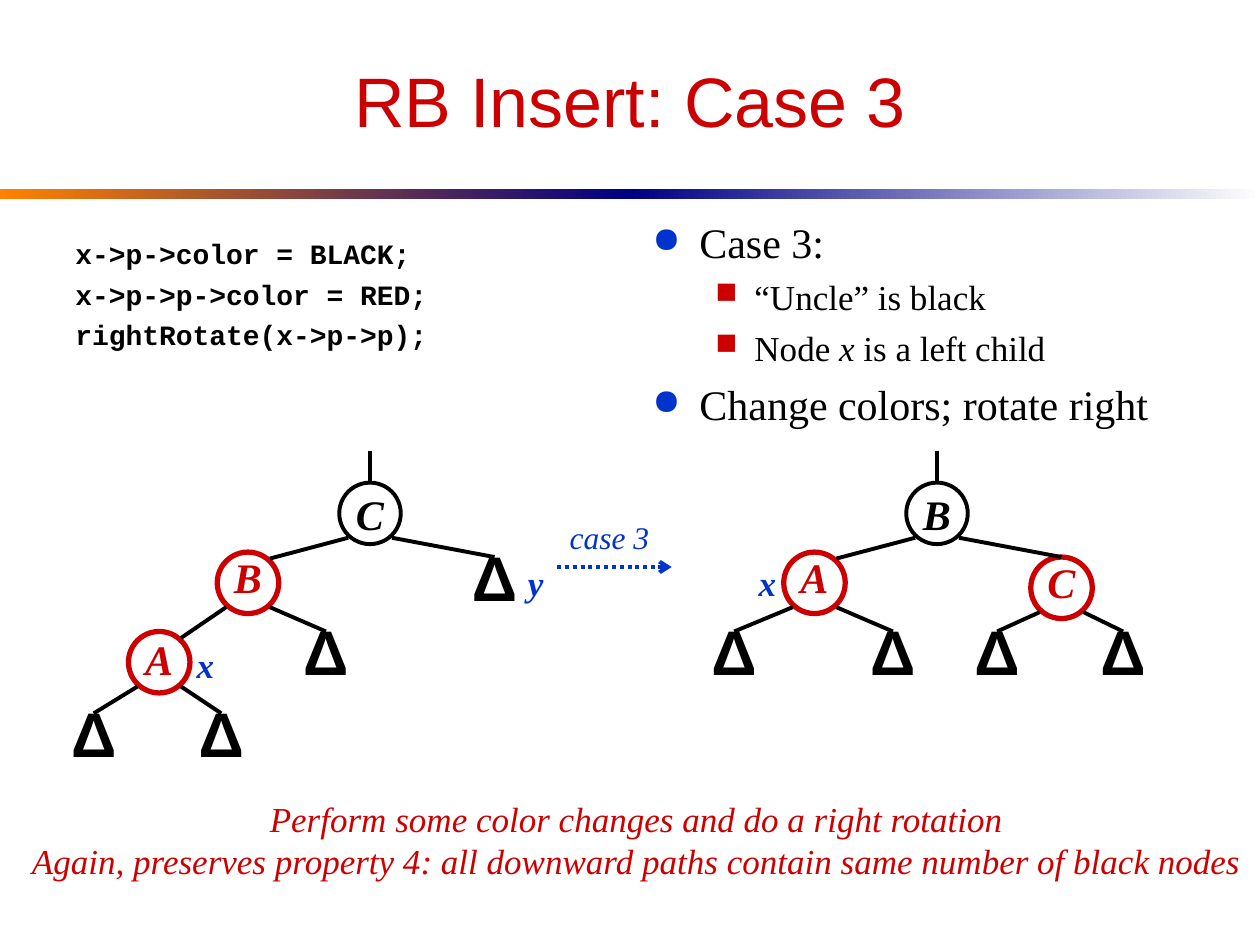
"""Build the slide on case 3 of red-black tree insertion."""
from lxml.etree import SubElement
from pptx import Presentation
from pptx.dml.color import RGBColor
from pptx.enum.dml import MSO_LINE_DASH_STYLE as Dash
from pptx.enum.shapes import MSO_CONNECTOR as Connector, MSO_SHAPE as Shape
from pptx.enum.text import MSO_ANCHOR as Anchor, PP_ALIGN as Align
from pptx.oxml.ns import qn
from pptx.util import Cm, Pt

COLORS = {"black": "000000", "red": "CC0000", "blue": "0033CC",
          "white": "FFFFFF", "navy": "000082", "orange": "FF8200"}
SERIF, SANS, MONO = "Times New Roman", "Arial", "Courier New"

TITLE = "RB Insert: Case 3"
CODE = ["x->p->color = BLACK;", "x->p->p->color = RED;", "rightRotate(x->p->p);"]
POINTS = [
    (0, [("Case 3:", False)]),
    (1, [("“Uncle” is black", False)]),
    (1, [("Node ", False), ("x", True), (" is a left child", False)]),
    (0, [("Change colors; rotate right", False)]),
]
LEVELS = [
    {"bullet": "●", "color": "blue", "size": 24, "before": 6, "margin": 0.95, "hang": 0.95},
    {"bullet": "■", "color": "red", "size": 20, "before": 5, "margin": 2.06, "hang": 0.79},
]
SUMMARY = [
    "Perform some color changes and do a right rotation",
    "Again, preserves property 4: all downward paths contain same number of black nodes",
]

# label, colour, centre x, top, line spacing, children
LEAF = "Δ"
TREES = [
    ("C", "black", 7.46, 9.73, 1, [
        ("B", "red", 5, 11.13, 0.7, [
            ("A", "red", 3.21, 12.73, 0.9, [
                (LEAF, "black", 1.89, 14.38, 0.6, []),
                (LEAF, "black", 4.46, 14.38, 0.6, [])]),
            (LEAF, "black", 6.57, 12.73, 0.6, [])]),
        (LEAF, "black", 9.97, 11.23, 0.6, [])]),
    ("B", "black", 18.89, 9.73, 1, [
        ("A", "red", 16.42, 11.13, 0.7, [
            (LEAF, "black", 14.8, 12.73, 0.6, []),
            (LEAF, "black", 18, 12.73, 0.6, [])]),
        ("C", "red", 21.4, 11.23, 0.7, [
            (LEAF, "black", 20.1, 12.73, 0.6, []),
            (LEAF, "black", 22.64, 12.73, 0.6, [])])]),
]
# text, box, size, bold
LABELS = [
    ("x", (3.71, 12.83, 0.86, 1.12), 20, True),
    ("y", (10.39, 11.18, 0.81, 1.12), 20, True),
    ("x", (15.04, 11.18, 0.86, 1.12), 20, True),
    ("case 3", (11.23, 10.31, 2.11, 1.02), 18, False),
]
NODE, STEM, CORNER, CORNER_TOP = 1.24, 0.64, 0.44, 0.13

presentation = Presentation()
presentation.slide_width, presentation.slide_height = Cm(25.4), Cm(19.05)
slide = presentation.slides.add_slide(presentation.slide_layouts[6])


def rgb(name):
    return RGBColor.from_string(COLORS[name])


def add_run(paragraph, text, font, size, color, bold=False, italic=False):
    run = paragraph.add_run()
    run.text = text
    run.font.name, run.font.size = font, Pt(size)
    run.font.bold, run.font.italic = bold, italic
    run.font.color.rgb = rgb(color)


def add_box(box, anchor=Anchor.MIDDLE, wrap=True):
    frame = slide.shapes.add_textbox(*map(Cm, box)).text_frame
    frame.word_wrap, frame.vertical_anchor = wrap, anchor
    return frame


def add_lines(frame, lines, *style, align=Align.CENTER, before=0, **emphasis):
    for index, text in enumerate(lines):
        paragraph = frame.add_paragraph() if index else frame.paragraphs[0]
        paragraph.alignment, paragraph.space_before = align, Pt(before)
        add_run(paragraph, text, *style, **emphasis)


def add_line(start, end, color="black"):
    line = slide.shapes.add_connector(Connector.STRAIGHT, *map(Cm, start + end))
    line.line.color.rgb, line.line.width = rgb(color), Pt(2.24)
    SubElement(line._element.spPr, qn("a:effectLst"))
    return line


def add_bar(left, start, end):
    bar = slide.shapes.add_shape(Shape.RECTANGLE, Cm(left), Cm(3.81), Cm(12.7), Cm(0.2))
    bar.shadow.inherit = False
    bar.line.fill.background()
    bar.fill.gradient()
    bar.fill.gradient_angle = 0
    for stop, color in zip(bar.fill.gradient_stops, (start, end)):
        stop.color.rgb = rgb(color)


def add_node(label, color, center, top, spacing):
    node = slide.shapes.add_shape(
        Shape.OVAL, Cm(center - NODE / 2), Cm(top), Cm(NODE), Cm(NODE))
    node.shadow.inherit = False
    is_leaf = label == LEAF
    if is_leaf:
        node.fill.background()
        node.line.fill.background()
    else:
        node.fill.solid()
        node.fill.fore_color.rgb = rgb("white")
        node.line.color.rgb = rgb(color)
        node.line.width = Pt(3 if color == "red" else 2.24)
    frame = node.text_frame
    frame.word_wrap, frame.vertical_anchor = False, Anchor.MIDDLE
    paragraph = frame.paragraphs[0]
    paragraph.alignment, paragraph.line_spacing = Align.CENTER, float(spacing)
    font, size = (SANS, 36) if is_leaf else (SERIF, 24)
    add_run(paragraph, label, font, size, color, bold=True, italic=not is_leaf)


def add_tree(label, color, center, top, spacing, children):
    add_node(label, color, center, top, spacing)
    for child in children:
        child_label, _, child_center, child_top = child[:4]
        add_tree(*child)
        side = -1 if child_center < center else 1
        end = (child_center, child_top)
        if side < 0 and child_label != LEAF:
            end = (child_center + CORNER, child_top + CORNER_TOP)
        add_line((center + side * CORNER, top + NODE - CORNER_TOP), end)


add_bar(0, "orange", "navy")
add_bar(12.7, "navy", "white")
add_lines(add_box((1.27, 0.64, 22.86, 2.74)), [TITLE], SANS, 40, "red")
add_lines(add_box((1.27, 4.65, 11.23, 4.65), Anchor.TOP), CODE, MONO, 16, "black",
          align=Align.LEFT, before=4, bold=True)

points_frame = add_box((12.9, 4.24, 11.23, 4.88), Anchor.TOP)
for index, (depth, runs) in enumerate(POINTS):
    level = LEVELS[depth]
    paragraph = points_frame.add_paragraph() if index else points_frame.paragraphs[0]
    paragraph.level, paragraph.space_before = depth, Pt(level["before"])
    properties = paragraph._p.get_or_add_pPr()
    properties.set("marL", str(Cm(level["margin"])))
    properties.set("indent", str(-Cm(level["hang"])))
    bullet_color = SubElement(properties, qn("a:buClr"))
    SubElement(bullet_color, qn("a:srgbClr"), val=COLORS[level["color"]])
    SubElement(properties, qn("a:buSzPct"), val="85000")
    SubElement(properties, qn("a:buChar"), char=level["bullet"])
    for text, italic in runs:
        add_run(paragraph, text, SERIF, level["size"], "black", italic=italic)

for tree in TREES:
    center, top = tree[2:4]
    add_line((center, top), (center, top - STEM))
    add_tree(*tree)
for text, box, size, bold in LABELS:
    add_lines(add_box(box, wrap=False), [text], SERIF, size, "blue", bold=bold, italic=True)

arrow = add_line((11.23, 11.43), (13.54, 11.43), "blue")
arrow.line.dash_style = Dash.ROUND_DOT
SubElement(arrow.line._get_or_add_ln(), qn("a:tailEnd"), type="arrow")
add_lines(add_box((0.36, 15.95, 24.94, 1.96), wrap=False), SUMMARY,
          SERIF, 20, "red", italic=True)

presentation.save("out.pptx")
